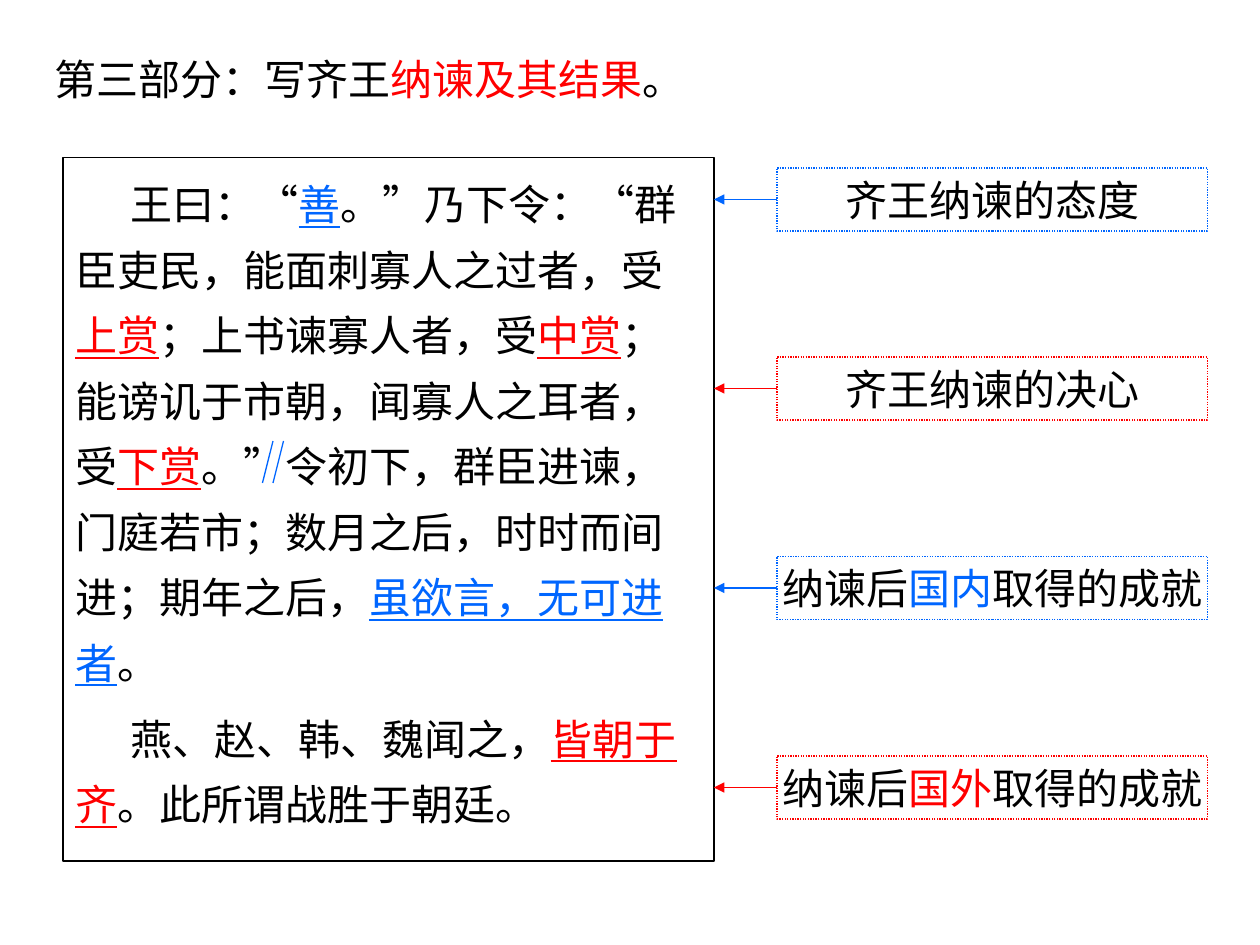
"""Build a slide that pairs a classical passage with four notes on its structure."""
from typing import NamedTuple

from lxml import etree
from pptx import Presentation
from pptx import util as u
from pptx.dml import color
from pptx.enum import dml, lang, shapes, text
from pptx.oxml import ns

PX = 9525
HUE = {"ink": "000000", "blue": "0066FF", "red": "FF0000"}


class Run(NamedTuple):
    words: str
    hue: str = "ink"
    under: bool = False


class Area(NamedTuple):
    left: int
    top: int
    wide: int
    high: int


class Note(NamedTuple):
    top: int
    hue: str
    runs: list[Run]


BODY = Area(48, 120, 496, 536)
TITLE = Area(32, 32, 928, 56)
HEAD = [Run("第三部分：写齐王"), Run("纳谏及其结果", "red"), Run("。")]
PARAS = [
    [
        Run("王曰：“"),
        Run("善", "blue", True),
        Run("。”乃下令：“群臣吏民，能面刺寡人之过者，受"),
        Run("上赏", "red", True),
        Run("；上书谏寡人者，受"),
        Run("中赏", "red", True),
        Run("；能谤讥于市朝，闻寡人之耳者，受"),
        Run("下赏", "red", True),
        Run("。”令初下，群臣进谏，门庭若市；数月之后，时时而间进；期年之后，"),
        Run("虽欲言，无可进者", "blue", True),
        Run("。"),
    ],
    [
        Run("燕、赵、韩、魏闻之，"),
        Run("皆朝于齐", "red", True),
        Run("。此所谓战胜于朝廷。"),
    ],
]
NOTES = [
    Note(128, "blue", [Run("齐王纳谏的态度")]),
    Note(272, "red", [Run("齐王纳谏的决心")]),
    Note(424, "blue", [Run("纳谏后"), Run("国内", "blue"), Run("取得的成就")]),
    Note(576, "red", [Run("纳谏后"), Run("国外", "red"), Run("取得的成就")]),
]


def px(num: int) -> u.Emu:
    """Turn pixels into EMU."""
    return u.Emu(num * PX)


def tint(name: str) -> color.RGBColor:
    """Look up a named colour."""
    return color.RGBColor.from_string(HUE[name])


def write(para, runs: list[Run]) -> None:
    """Add the runs to a paragraph."""
    for item in runs:
        run = para.add_run()
        run.text = item.words
        font = run.font
        font.name, font.size = "Arial", u.Pt(24)
        font.language_id = lang.MSO_LANGUAGE_ID.SIMPLIFIED_CHINESE
        font.color.rgb = tint(item.hue)
        font.underline = item.under


def frame(slide, area: Area, hue: str):
    """Draw an unfilled outlined rectangle."""
    box = slide.shapes.add_shape(shapes.MSO_SHAPE.RECTANGLE, *map(px, area))
    box.shadow.inherit = False
    box.fill.background()
    box.line.color.rgb = tint(hue)
    box.line.width = u.Pt(0.75)
    return box


def rule(slide, start: tuple[int, int], end: tuple[int, int], hue: str, arrow: bool = False):
    """Draw a straight line, with an arrowhead at its end if asked."""
    line = slide.shapes.add_connector(
        shapes.MSO_CONNECTOR.STRAIGHT, *map(px, start + end))
    line.line.color.rgb = tint(hue)
    line.line.width = u.Pt(0.75)
    if arrow:
        etree.SubElement(line.line._get_or_add_ln(), ns.qn("a:tailEnd"), type="triangle")
    etree.SubElement(line._element.spPr, ns.qn("a:effectLst"))
    return line


def draw_title(slide) -> None:
    """Write the heading."""
    box = slide.shapes.add_textbox(*map(px, TITLE)).text_frame
    box.word_wrap = True
    box.vertical_anchor = text.MSO_ANCHOR.MIDDLE
    write(box.paragraphs[0], HEAD)


def draw_body(slide) -> None:
    """Write the passage in its frame, with indented first lines."""
    box = frame(slide, BODY, "ink").text_frame
    box.word_wrap = True
    box.vertical_anchor = text.MSO_ANCHOR.TOP
    for num, runs in enumerate(PARAS):
        para = box.add_paragraph() if num else box.paragraphs[0]
        para.alignment = text.PP_ALIGN.LEFT
        para.line_spacing, para.space_before = 1.3, u.Pt(6)
        prop = para._p.get_or_add_pPr()
        prop.set("marL", "0")
        prop.set("indent", str(px(42)))
        write(para, runs)


def draw_note(slide, note: Note) -> None:
    """Draw a note and its arrow to the passage."""
    area = Area(592, note.top, 328, 48)
    box = frame(slide, area, note.hue)
    box.line.dash_style = dml.MSO_LINE.ROUND_DOT
    body = box.text_frame
    body.word_wrap = False
    body.vertical_anchor = text.MSO_ANCHOR.MIDDLE
    body.paragraphs[0].alignment = text.PP_ALIGN.CENTER
    write(body.paragraphs[0], note.runs)
    mid = area.top + area.high // 2
    line = rule(slide, (area.left, mid), (BODY.left + BODY.wide, mid), note.hue, True)
    line.begin_connect(box, 1)


def main() -> None:
    """Build and save the deck."""
    deck = Presentation()
    deck.slide_width, deck.slide_height = px(960), px(720)
    slide = deck.slides.add_slide(deck.slide_layouts[6])
    draw_body(slide)
    draw_title(slide)
    for note in NOTES:
        draw_note(slide, note)
    for left in (200, 208):
        rule(slide, (left + 8, 336), (left, 368), "blue")
    deck.save("out.pptx")


if __name__ == "__main__":
    main()
